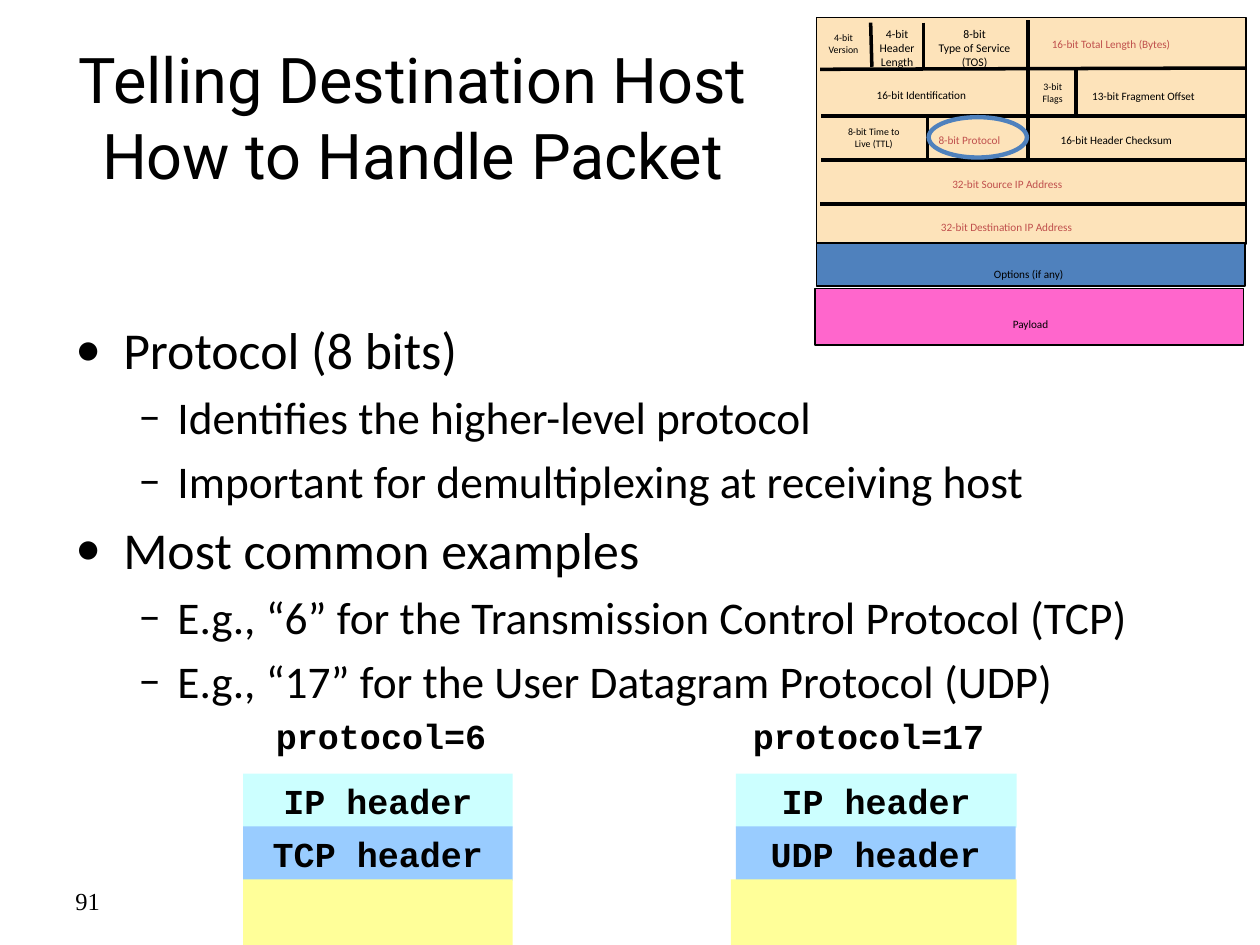
import pptx
import pptx.util
import pptx.dml.color
import pptx.enum.shapes
import pptx.enum.text
import lxml.etree
from pptx.util import Inches

BLACK, RED, BLUE = "000000", "C0504D", "4F81BD"
SHAPE = pptx.enum.shapes.MSO_SHAPE
ALIGN = pptx.enum.text.PP_ALIGN
ANCHOR = pptx.enum.text.MSO_ANCHOR


def color(hex_string):
    return pptx.dml.color.RGBColor.from_string(hex_string)


def write_text(shape, text, size, font="Calibri", ink=BLACK, bold=False,
               align=ALIGN.LEFT, anchor=ANCHOR.TOP, wrap=True, side_margin=0.1):
    """Fill a shape with text, one paragraph a line, and return the paragraphs."""
    frame = shape.text_frame
    frame.word_wrap = wrap
    frame.vertical_anchor = anchor
    frame.margin_left = frame.margin_right = Inches(side_margin)
    for index, line in enumerate(text.split("\n")):
        paragraph = frame.add_paragraph() if index else frame.paragraphs[0]
        paragraph.alignment = align
        run = paragraph.add_run()
        run.text = line
        run.font.size = pptx.util.Pt(size)
        run.font.name = font
        run.font.bold = bold
        run.font.color.rgb = color(ink)
    return frame.paragraphs


presentation = pptx.Presentation()
presentation.slide_width = Inches(10)
presentation.slide_height = Inches(7.5)
slide = presentation.slides.add_slide(presentation.slide_layouts[6])

# Slide number and title
number = slide.shapes.add_textbox(Inches(0.5), Inches(6.95), Inches(2.33), Inches(0.4))
write_text(number, "91", 14, font="Times New Roman", anchor=ANCHOR.MIDDLE)
title = slide.shapes.add_textbox(Inches(0.5), Inches(0.3), Inches(5.55), Inches(1.25))
write_text(title, "Telling Destination Host How to Handle Packet", 36, font="Roboto",
           align=ALIGN.CENTER, anchor=ANCHOR.MIDDLE)

# Bulleted body: (level, text)
points = [
    (0, "Protocol (8 bits)"),
    (1, "Identifies the higher-level protocol"),
    (1, "Important for demultiplexing at receiving host"),
    (0, "Most common examples"),
    (1, "E.g., “6” for the Transmission Control Protocol (TCP)"),
    (1, "E.g., “17” for the User Datagram Protocol (UDP)"),
]
# Level formats: size, bullet, left margin, hanging indent
levels = [(29.6, "•", 0.38, 0.38), (25.9, "–", 0.81, 0.31)]
body = slide.shapes.add_textbox(Inches(0.5), Inches(2.47), Inches(9.25), Inches(3.13))
paragraphs = write_text(body, "\n".join(text for _, text in points), 29.6)
for index, (paragraph, (level, _)) in enumerate(zip(paragraphs, points)):
    size, bullet, margin, hanging = levels[level]
    properties = paragraph._p.get_or_add_pPr()
    properties.set("marL", str(Inches(margin)))
    properties.set("indent", str(-Inches(hanging)))
    for tag, name, value in [("a:buFont", "typeface", "Calibri"), ("a:buChar", "char", bullet)]:
        lxml.etree.SubElement(properties, pptx.oxml.ns.qn(tag)).set(name, value)
    paragraph.level = level
    paragraph.space_before = pptx.util.Pt(5.5 if index else 0)
    paragraph.runs[0].font.size = pptx.util.Pt(size)

# Packet stacks: label, label box, transport header, then left and width of each layer
stacks = [
    ("protocol=6", 2.09, 1.87, "TCP header", [(1.93, 2.14), (1.93, 2.14), (1.93, 2.14)]),
    ("protocol=17", 5.88, 2.03, "UDP header", [(5.84, 2.23), (5.84, 2.22), (5.8, 2.27)]),
]
stack_group = slide.shapes.add_group_shape()
code_format = dict(size=20, font="Courier New", bold=True, align=ALIGN.CENTER)
for label, label_left, label_width, transport, spans in stacks:
    layers = [("IP header", 6.14, 0.43, "CCFFFF"), (transport, 6.56, 0.43, "99CCFF"),
              ("", 6.98, 1.3, "FFFF99")]
    for (text, top, height, fill), (left, width) in zip(layers, spans):
        layer = stack_group.shapes.add_shape(
            SHAPE.RECTANGLE, Inches(left), Inches(top), Inches(width), Inches(height))
        layer.shadow.inherit = False
        layer.fill.solid()
        layer.fill.fore_color.rgb = color(fill)
        layer.line.fill.background()
        if text:
            write_text(layer, text, **code_format)
    label_box = stack_group.shapes.add_textbox(
        Inches(label_left), Inches(5.62), Inches(label_width), Inches(0.43))
    write_text(label_box, label, wrap=False, side_margin=0, **code_format)

# IP header diagram: coloured bands
header_group = slide.shapes.add_group_shape()
bands = [(6.48, 0.14, 3.41, 1.8, "FDE3BA"), (6.48, 1.93, 3.4, 0.34, BLUE),
         (6.47, 2.29, 3.4, 0.45, "FF66CC")]
for left, top, width, height, fill in bands:
    band = header_group.shapes.add_shape(
        SHAPE.RECTANGLE, Inches(left), Inches(top), Inches(width), Inches(height))
    band.shadow.inherit = False
    band.fill.solid()
    band.fill.fore_color.rgb = color(fill)
    band.line.color.rgb = color(BLACK)
    band.line.width = pptx.util.Pt(1)

# Row and column rules: from x, from y, to x, to y
rules = [
    (6.51, 0.55, 9.89, 0.54), (6.52, 0.92, 9.9, 0.92),
    (6.52, 1.27, 9.9, 1.27), (6.51, 1.62, 9.9, 1.62),
    (8.16, 0.16, 8.16, 1.26), (7.33, 0.18, 7.33, 0.53), (6.91, 0.18, 6.92, 0.53),
    (8.54, 0.55, 8.54, 0.91), (7.36, 0.93, 7.36, 1.26),
]
for ends in rules:
    rule = header_group.shapes.add_connector(
        pptx.enum.shapes.MSO_CONNECTOR.STRAIGHT, *[Inches(value) for value in ends])
    rule.line.color.rgb = color(BLACK)
    rule.line.width = pptx.util.Pt(2)
    lxml.etree.SubElement(rule._element.spPr, pptx.oxml.ns.qn("a:effectLst"))

# Field names: several lines are centred, single lines start at the left
fields = [
    ("4-bit\nVersion", 6.46, 0.2, 0.47, 0.28, 5.6, BLACK),
    ("4-bit\nHeader\nLength", 6.9, 0.16, 0.44, 0.39, 6.7, BLACK),
    ("8-bit\nType of Service\n(TOS)", 7.31, 0.16, 0.85, 0.39, 6.7, BLACK),
    ("16-bit Total Length (Bytes)", 8.25, 0.25, 1.56, 0.18, 6.4, RED),
    ("16-bit Identification", 6.86, 0.65, 1.07, 0.18, 6.4, BLACK),
    ("3-bit\nFlags", 8.17, 0.59, 0.37, 0.28, 5.6, BLACK),
    ("13-bit Fragment Offset", 8.57, 0.66, 1.26, 0.18, 6.4, BLACK),
    ("8-bit Time to\nLive (TTL)", 6.57, 0.95, 0.73, 0.28, 5.6, BLACK),
    ("8-bit Protocol", 7.35, 1.01, 0.85, 0.18, 6.4, RED),
    ("16-bit Header Checksum", 8.32, 1.01, 1.38, 0.18, 6.4, BLACK),
    ("32-bit Source IP Address", 7.46, 1.36, 1.47, 0.18, 6.4, RED),
    ("32-bit Destination IP Address", 7.37, 1.7, 1.7, 0.18, 6.4, RED),
    ("Options (if any)", 7.79, 2.07, 0.88, 0.18, 6.4, BLACK),
    ("Payload", 7.94, 2.47, 0.52, 0.18, 6.4, BLACK),
]
for text, left, top, width, height, size, ink in fields:
    field = header_group.shapes.add_textbox(
        Inches(left), Inches(top), Inches(width), Inches(height))
    centred = "\n" in text
    write_text(field, text, size, ink=ink, wrap=not centred,
               align=ALIGN.CENTER if centred else ALIGN.LEFT,
               side_margin=0 if centred else 0.1)

# Ring around the protocol field
ring = slide.shapes.add_shape(
    SHAPE.OVAL, Inches(7.37), Inches(0.93), Inches(0.78), Inches(0.32))
ring.shadow.inherit = False
ring.fill.background()
ring.line.color.rgb = color(BLUE)
ring.line.width = pptx.util.Pt(2.5)

presentation.save("out.pptx")
